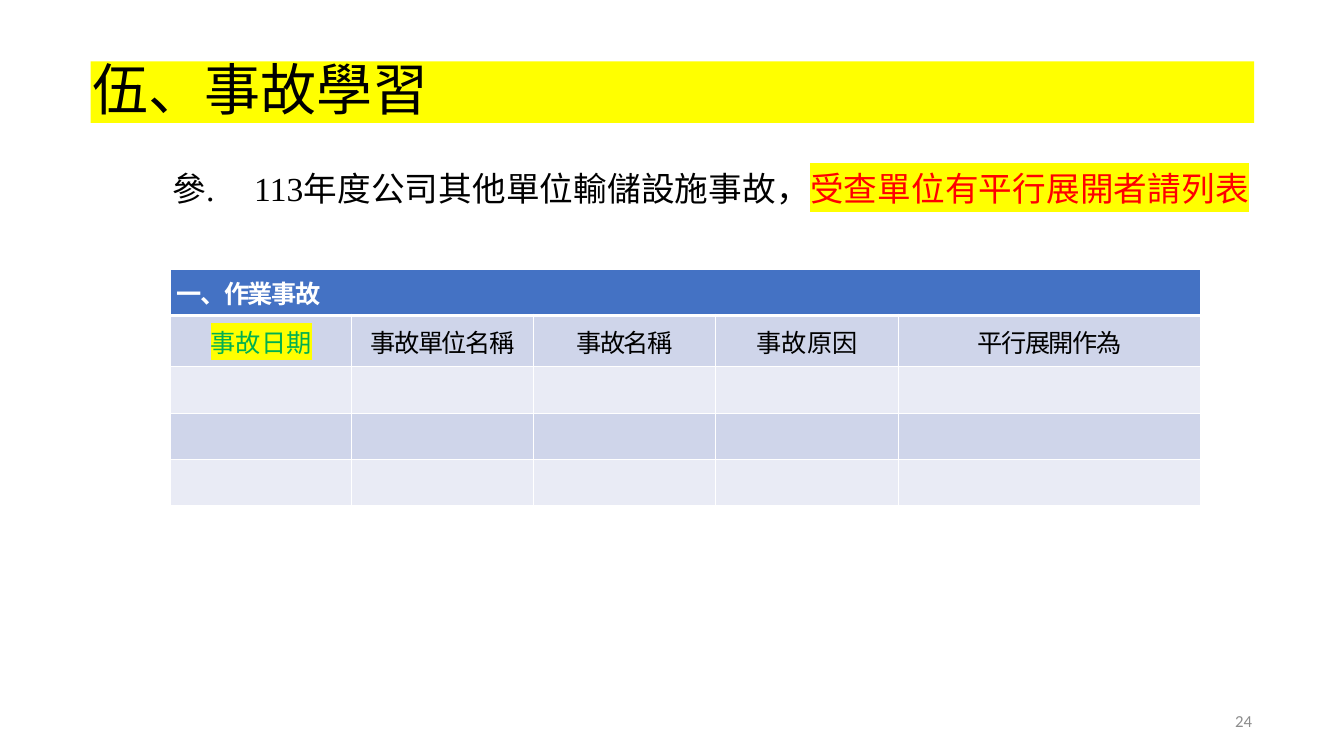
from lxml import etree
from pptx import Presentation
from pptx.dml.color import RGBColor
from pptx.enum import shapes, text
from pptx.oxml import ns
from pptx.util import Inches, Pt

CJK = "Noto Sans CJK SC"
ROMAN = "Times New Roman"
MID = text.MSO_ANCHOR.MIDDLE
LEFT, CENTER, RIGHT = text.PP_ALIGN.LEFT, text.PP_ALIGN.CENTER, text.PP_ALIGN.RIGHT


def color(code):
    return RGBColor.from_string(code)


def paint(item, code):
    item.fill.solid()
    item.fill.fore_color.rgb = color(code)


def node(parent, tag, **attrs):
    return etree.SubElement(parent, ns.qn(tag), attrs)


def apply(item, values):
    for name, value in values.items():
        setattr(item, name, value)


def write(para, words, size, face, code="000000", bold=False, gap=0, mark=None):
    run = para.add_run()
    run.text = words
    run.font.color.rgb = color(code)
    props = run.font._element
    props.set("spc", str(gap))
    if mark:
        node(node(props, "a:highlight"), "a:srgbClr", val=mark)
    apply(run.font, {"size": Pt(size), "name": face, "bold": bold})
    node(props, "a:ea", typeface=CJK)


def frame(shape, anchor, align, fit=text.MSO_AUTO_SIZE.NONE):
    box = shape.text_frame
    apply(box, {"margin_left": 0, "margin_right": 0, "margin_top": 0,
                "margin_bottom": 0, "word_wrap": True,
                "vertical_anchor": anchor, "auto_size": fit})
    para = box.paragraphs[0]
    para.alignment = align
    return para


def title(slide, words):
    bar = slide.shapes.add_shape(shapes.MSO_SHAPE.RECTANGLE, Inches(0.9), Inches(0.61),
                                 Inches(11.54), Inches(0.61))
    bar.shadow.inherit = False
    paint(bar, "FFFF00")
    bar.line.fill.background()
    para = frame(bar, MID, LEFT)
    para.line_spacing = 0.9
    para._p.get_or_add_pPr().set("marL", str(Inches(0.02)))
    write(para, words, 40, ROMAN, gap=10)


def label(slide, spot, anchor, align):
    box = slide.shapes.add_textbox(*map(Inches, spot))
    return frame(box, anchor, align)


def number(para, start):
    props = para._p.get_or_add_pPr()
    props.set("marL", str(Inches(0.83)))
    props.set("indent", str(Inches(-0.81)))
    node(props, "a:buFont", typeface=ROMAN)
    node(props, "a:buAutoNum", type="ea1ChtPeriod", startAt=str(start))


def border(cell, widths):
    props = cell._tc.get_or_add_tcPr()
    for spot, (side, width) in enumerate(widths.items()):
        line = etree.Element(ns.qn("a:ln" + side), w=str(Pt(width)))
        node(node(line, "a:solidFill"), "a:srgbClr", val="FFFFFF")
        props.insert(spot, line)


def grid(slide, head, names):
    wide = [1.8, 1.8, 1.81, 1.81, 3]
    high = [0.46, 0.51, 0.46, 0.46, 0.46]
    fills = ["4472C4", "CFD5EA", "E9EBF5", "CFD5EA", "E9EBF5"]
    table = slide.shapes.add_table(len(high), len(wide), Inches(1.69), Inches(2.67),
                                   Inches(sum(wide)), Inches(sum(high))).table
    for col, width in zip(table.columns, wide):
        col.width = Inches(width)
    for r, (row, height) in enumerate(zip(table.rows, high)):
        row.height = Inches(height)
        for cell in row.cells:
            paint(cell, fills[r])
            border(cell, {"L": 1, "R": 1, "T": 3 if r == 1 else 1, "B": 3 if r == 0 else 1})
            apply(cell, {"margin_left": Inches(0.06), "margin_right": Inches(0.06),
                         "margin_top": Inches(0.03), "margin_bottom": Inches(0.03),
                         "vertical_anchor": MID})
    top = table.cell(0, 0)
    top.merge(table.cell(0, len(wide) - 1))
    write(top.text_frame.paragraphs[0], head, 18, CJK, "FFFFFF", True, -100)
    for c, (words, style) in enumerate(names):
        para = table.cell(1, c).text_frame.paragraphs[0]
        para.alignment = CENTER
        write(para, words, 18, CJK, **style)


def main():
    deck = Presentation()
    apply(deck, {"slide_width": Inches(13.33), "slide_height": Inches(7.5)})
    slide = deck.slides.add_slide(deck.slide_layouts[6])
    title(slide, "伍、事故學習")
    tight = {"gap": -100}
    grid(slide, "一、作業事故", [
        ("事故日期", {"code": "00B050", "mark": "FFFF00"}),
        ("事故單位名稱", tight),
        ("事故名稱", tight),
        ("事故原因", {}),
        ("平行展開作為", tight),
    ])
    page = label(slide, (9.42, 6.95, 3, 0.4), MID, RIGHT)
    write(page, "24", 12, "Calibri", "8C8C8C")
    topic = label(slide, (1.69, 1.67, 10.79, 0.4), text.MSO_ANCHOR.TOP, LEFT)
    number(topic, 3)
    write(topic, "113年度公司其他單位輸儲設施事故，", 24, ROMAN, gap=10)
    write(topic, "受查單位有平行展開者請列表", 24, ROMAN, "FF0000", gap=10, mark="FFFF00")
    deck.save("out.pptx")


if __name__ == "__main__":
    main()
